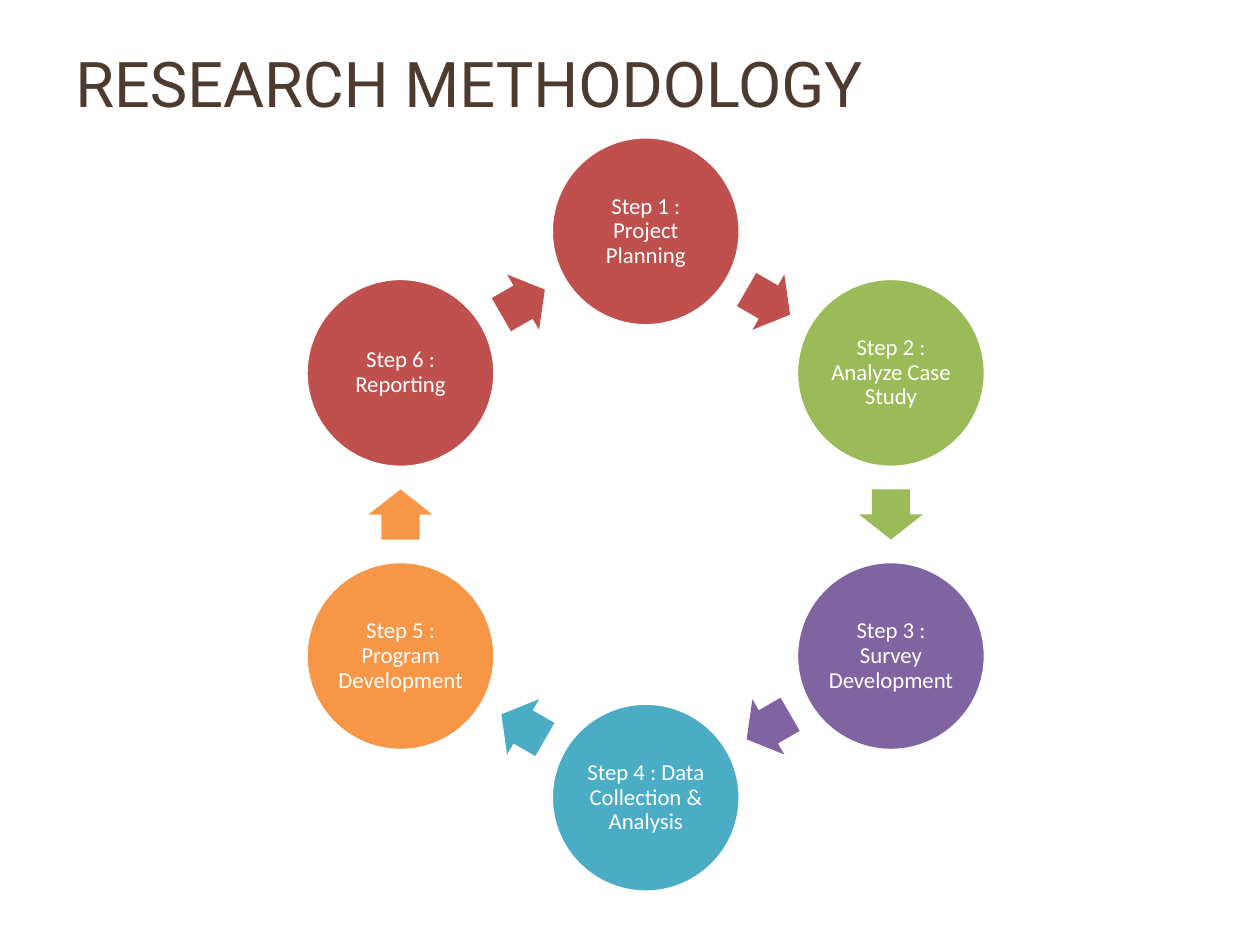
import math

import pptx
import pptx.dml.color
import pptx.enum.shapes
import pptx.enum.text
import pptx.util

Pt = pptx.util.Pt
Shapes = pptx.enum.shapes.MSO_SHAPE

TITLE = "RESEARCH METHODOLOGY"
STEPS = [
    ("Step 1 : Project Planning", "C0504D"),
    ("Step 2 : Analyze Case Study", "9BBB59"),
    ("Step 3 : Survey Development", "8064A2"),
    ("Step 4 : Data Collection & Analysis", "4BACC6"),
    ("Step 5 : Program Development", "F79646"),
    ("Step 6 : Reporting", "C0504D"),
]
THEME = {
    "title_font": "Roboto", "title_size": 36, "title_color": "4E3B30",
    "step_font": "Calibri", "step_size": 13, "step_color": "FFFFFF",
    "outline": "FFFFFF",
}
CENTER_X, CENTER_Y = 369, 294
RING_RADIUS = 161.8
CIRCLE_SIZE = 108
ARROW_WIDTH, ARROW_HEIGHT = 28.7, 36.5
TEXT_INSET = 1.5


def color(value):
    return pptx.dml.color.RGBColor.from_string(value)


def write(text_frame, text, role):
    """Set the text and format it with the theme's font, size and colour for the role."""
    text_frame.text = text
    text_frame.word_wrap = True
    font = text_frame.paragraphs[0].runs[0].font
    font.name = THEME[role + "_font"]
    font.size = Pt(THEME[role + "_size"])
    font.color.rgb = color(THEME[role + "_color"])


def add_filled_shape(slide, kind, center, width, height, fill):
    x, y = center
    shape = slide.shapes.add_shape(
        kind, Pt(x - width / 2), Pt(y - height / 2), Pt(width), Pt(height))
    shape.shadow.inherit = False
    shape.fill.solid()
    shape.fill.fore_color.rgb = color(fill)
    return shape


def add_step(slide, center, text, fill):
    circle = add_filled_shape(slide, Shapes.OVAL, center, CIRCLE_SIZE, CIRCLE_SIZE, fill)
    circle.line.color.rgb = color(THEME["outline"])
    circle.line.width = Pt(2)
    frame = circle.text_frame
    frame.margin_left = frame.margin_right = Pt(TEXT_INSET)
    frame.margin_top = frame.margin_bottom = Pt(TEXT_INSET)
    frame.vertical_anchor = pptx.enum.text.MSO_ANCHOR.MIDDLE
    write(frame, text, "step")
    paragraph = frame.paragraphs[0]
    paragraph.alignment = pptx.enum.text.PP_ALIGN.CENTER
    paragraph.line_spacing = 0.9


def add_arrow(slide, start, end, fill):
    """Put an arrow halfway between two circle centres, pointing at the second."""
    (x1, y1), (x2, y2) = start, end
    middle = ((x1 + x2) / 2, (y1 + y2) / 2)
    arrow = add_filled_shape(
        slide, Shapes.RIGHT_ARROW, middle, ARROW_WIDTH, ARROW_HEIGHT, fill)
    arrow.line.fill.background()
    arrow.adjustments[0] = 0.6
    arrow.adjustments[1] = 0.5
    arrow.rotation = round(math.degrees(math.atan2(y2 - y1, x2 - x1))) % 360


def ring_point(index):
    angle = math.tau * index / len(STEPS)
    return (CENTER_X + RING_RADIUS * math.sin(angle),
            CENTER_Y - RING_RADIUS * math.cos(angle))


def main():
    presentation = pptx.Presentation()
    presentation.slide_width, presentation.slide_height = Pt(720), Pt(540)
    slide = presentation.slides.add_slide(presentation.slide_layouts[6])

    title = slide.shapes.add_textbox(Pt(36), Pt(21.6), Pt(648), Pt(68.4))
    write(title.text_frame, TITLE, "title")

    for index, (text, fill) in enumerate(STEPS):
        add_step(slide, ring_point(index), text, fill)
        add_arrow(slide, ring_point(index), ring_point(index + 1), fill)

    presentation.save("out.pptx")


if __name__ == "__main__":
    main()
